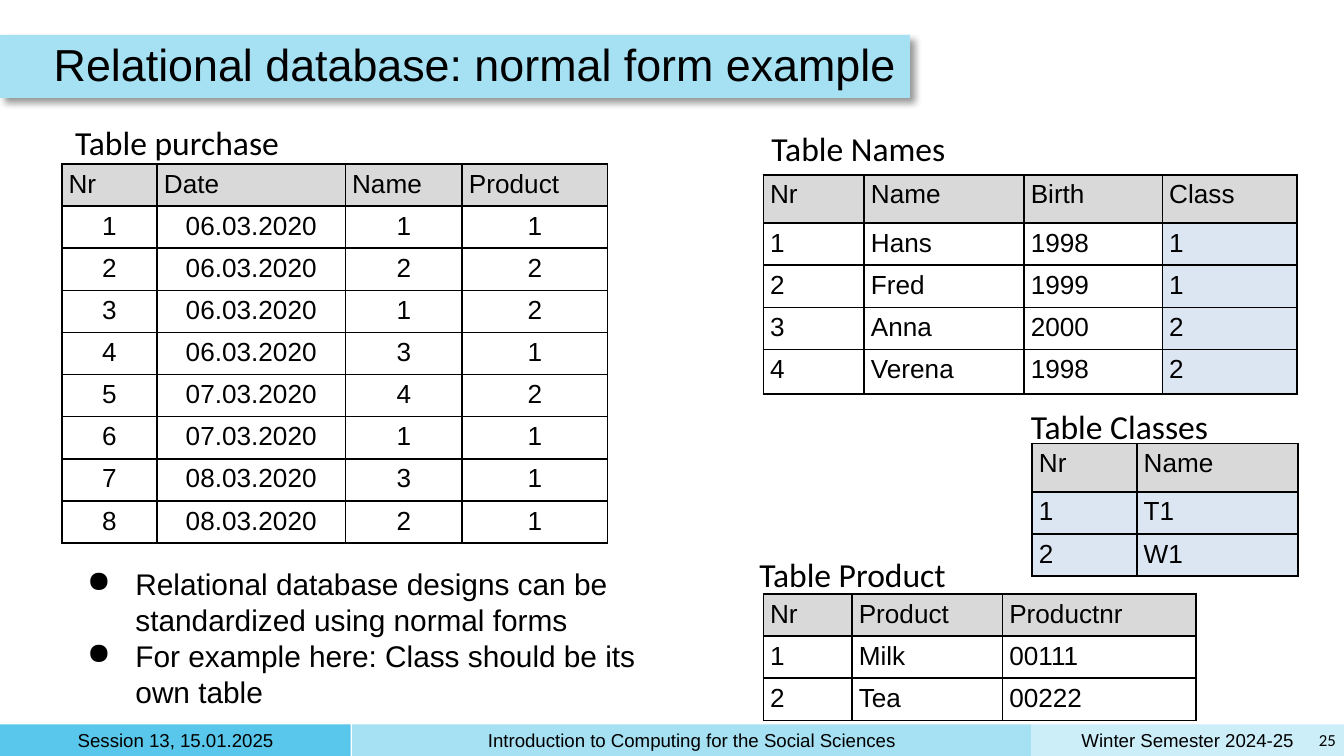
from lxml import etree
from pptx import Presentation, util as u
from pptx.dml.color import RGBColor
from pptx.enum import shapes, text
from pptx.oxml import parse_xml
from pptx.oxml.ns import nsdecls, qn

BLACK = RGBColor(0, 0, 0)
GRAY = RGBColor(0xD9, 0xD9, 0xD9)
PALE = RGBColor(0xDC, 0xE6, 0xF2)
SKY = RGBColor(0xA5, 0xE0, 0xF3)
BLUE = RGBColor(0x59, 0xC7, 0xEB)
ICE = RGBColor(0xCC, 0xEE, 0xF9)
LEFT, MID, RIGHT = text.PP_ALIGN.LEFT, text.PP_ALIGN.CENTER, text.PP_ALIGN.RIGHT
TOP, CENTER = text.MSO_ANCHOR.TOP, text.MSO_ANCHOR.MIDDLE
COLS, ROWS = 100, 56.25  # square grid cells, a tenth of an inch each


class Deck:
    """Holds the style and the current slide; lengths are grid columns and rows."""

    font, label = "Arial", "Calibri"

    def __init__(self):
        self.prs = Presentation()
        self.prs.slide_width = u.Inches(10)
        self.prs.slide_height = u.Inches(5.625)
        self.slide = self.prs.slides.add_slide(self.prs.slide_layouts[6])

    def col(self, n):
        return round(self.prs.slide_width * n / COLS)

    def row(self, n):
        return round(self.prs.slide_height * n / ROWS)

    def box(self, x, y, w, h):
        return self.col(x), self.row(y), self.col(w), self.row(h)

    def style(self, para, size, font=None, align=LEFT):
        para.alignment = align
        para.font.size = u.Pt(size)
        para.font.name = font or self.font
        para.font.color.rgb = BLACK

    def band(self, area, color, shadow=False):
        rect = self.slide.shapes.add_shape(shapes.MSO_SHAPE.RECTANGLE, *self.box(*area))
        rect.shadow.inherit = False
        rect.fill.solid()
        rect.fill.fore_color.rgb = color
        rect.line.fill.background()
        if shadow:
            effects = rect._element.spPr.find(qn("a:effectLst"))
            effects.append(parse_xml(
                f'<a:outerShdw {nsdecls("a")} blurRad="50800" dist="38100" dir="2700000" '
                'algn="tl" rotWithShape="0"><a:srgbClr val="000000">'
                '<a:alpha val="40000"/></a:srgbClr></a:outerShdw>'))

    def words(self, area, lines, size, font=None, align=LEFT, anchor=TOP, inset=0.5):
        frame = self.slide.shapes.add_textbox(*self.box(*area)).text_frame
        frame.word_wrap = True
        frame.vertical_anchor = anchor
        frame.margin_left = frame.margin_right = self.col(inset)
        frame.margin_top = frame.margin_bottom = self.row(inset)
        frame.text = "\n".join(lines)
        for para in frame.paragraphs:
            self.style(para, size, font, align)
        return frame.paragraphs

    def bullets(self, area, lines, size):
        for para in self.words(area, lines, size, inset=1):
            props = para._p.get_or_add_pPr()
            props.set("marL", str(self.col(5)))
            props.set("indent", str(-self.col(3.6)))
            color = etree.SubElement(props, qn("a:buClr"))
            etree.SubElement(color, qn("a:srgbClr"), val=str(BLACK))
            etree.SubElement(props, qn("a:buChar"), char="●")

    def border(self, cell):
        props = cell._tc.get_or_add_tcPr()
        for side in "LRTB":
            props.append(parse_xml(
                f'<a:ln{side} {nsdecls("a")} w="12700"><a:solidFill>'
                f'<a:srgbClr val="{BLACK}"/></a:solidFill></a:ln{side}>'))

    def table(self, spot, widths, heights, data, align=LEFT, tint=()):
        """Draw data with a gray head row; tint lists the pale body columns."""
        area = self.box(*spot, sum(widths), sum(heights))
        grid = self.slide.shapes.add_table(len(data), len(widths), *area).table
        grid.first_row = grid.horz_banding = False
        for col, width in zip(grid.columns, widths):
            col.width = self.col(width)
        for row, height in zip(grid.rows, heights):
            row.height = self.row(height)
        for r, record in enumerate(data):
            for c, value in enumerate(record):
                cell = grid.cell(r, c)
                cell.margin_left = cell.margin_right = self.col(0.5)
                cell.margin_top = cell.margin_bottom = self.row(0.4)
                cell.text = value
                self.style(cell.text_frame.paragraphs[0], 14, align=align if r else LEFT)
                self.border(cell)
                if r == 0 or c in tint:
                    cell.fill.solid()
                    cell.fill.fore_color.rgb = PALE if r else GRAY
                else:
                    cell.fill.background()


def main():
    deck = Deck()
    for x, w, color, note in (
        (76.7, 23.3, ICE, "Winter Semester 2024-25"),
        (0, 26.1, BLUE, "Session 13, 15.01.2025"),
        (26.2, 50.5, SKY, "Introduction to Computing for the Social Sciences"),
    ):
        deck.band((x, 53.9, w, 2.4), color)
        deck.words((x + 0.5, 54.1, w - 1, 1.9), [note], 10, align=MID, anchor=CENTER)
    deck.words((97.5, 53.8, 2.4, 2.5), ["25"], 9, deck.label, RIGHT, CENTER)

    people = [
        ("Nr", "Name", "Birth", "Class"),
        ("1", "Hans", "1998", "1"),
        ("2", "Fred", "1999", "1"),
        ("3", "Anna", "2000", "2"),
        ("4", "Verena", "1998", "2"),
    ]
    goods = [("Nr", "Product", "Productnr"), ("1", "Milk", "00111"), ("2", "Tea", "00222")]
    groups = [("Nr", "Name"), ("1", "T1"), ("2", "W1")]
    sales = [
        ("Nr", "Date", "Name", "Product"),
        ("1", "06.03.2020", "1", "1"),
        ("2", "06.03.2020", "2", "2"),
        ("3", "06.03.2020", "1", "2"),
        ("4", "06.03.2020", "3", "1"),
        ("5", "07.03.2020", "4", "2"),
        ("6", "07.03.2020", "1", "1"),
        ("7", "08.03.2020", "3", "1"),
        ("8", "08.03.2020", "2", "1"),
    ]
    line = 3.05
    deck.table((56.8, 13), (7.5, 11.9, 10.3, 10), [3.6] + [line] * 3 + [3.3], people, tint=(3,))
    deck.table((56.8, 44.2), (6.6, 11.2, 14.4), [line] * 3, goods)
    deck.table((4.6, 12.2), (7.1, 14, 8.7, 10.8), [line] * 9, sales, MID)
    deck.table((76.8, 33), (7.8, 12), [3.6] + [line] * 2, groups, tint=(0, 1))

    for x, y, w, name in (
        (56.9, 9, 14.1, "Names"),
        (56, 40.7, 15, "Product"),
        (5.1, 8.6, 16.3, "purchase"),
        (76.2, 29.7, 14.3, "Classes"),
    ):
        deck.words((x, y, w, 4), [f"Table {name}"], 18, deck.label)

    deck.band((0, 2.6, 67.7, 4.7), SKY, shadow=True)
    title = deck.words((3.5, 2.6, 86, 4.7), ["Relational database: normal form example"],
                       24, anchor=CENTER)
    title[0].line_spacing = 0.9
    deck.bullets((4.1, 41.1, 48.3, 12.8), [
        "Relational database designs can be standardized using normal forms",
        "For example here: Class should be its own table",
    ], 16)
    deck.prs.save("out.pptx")


if __name__ == "__main__":
    main()
